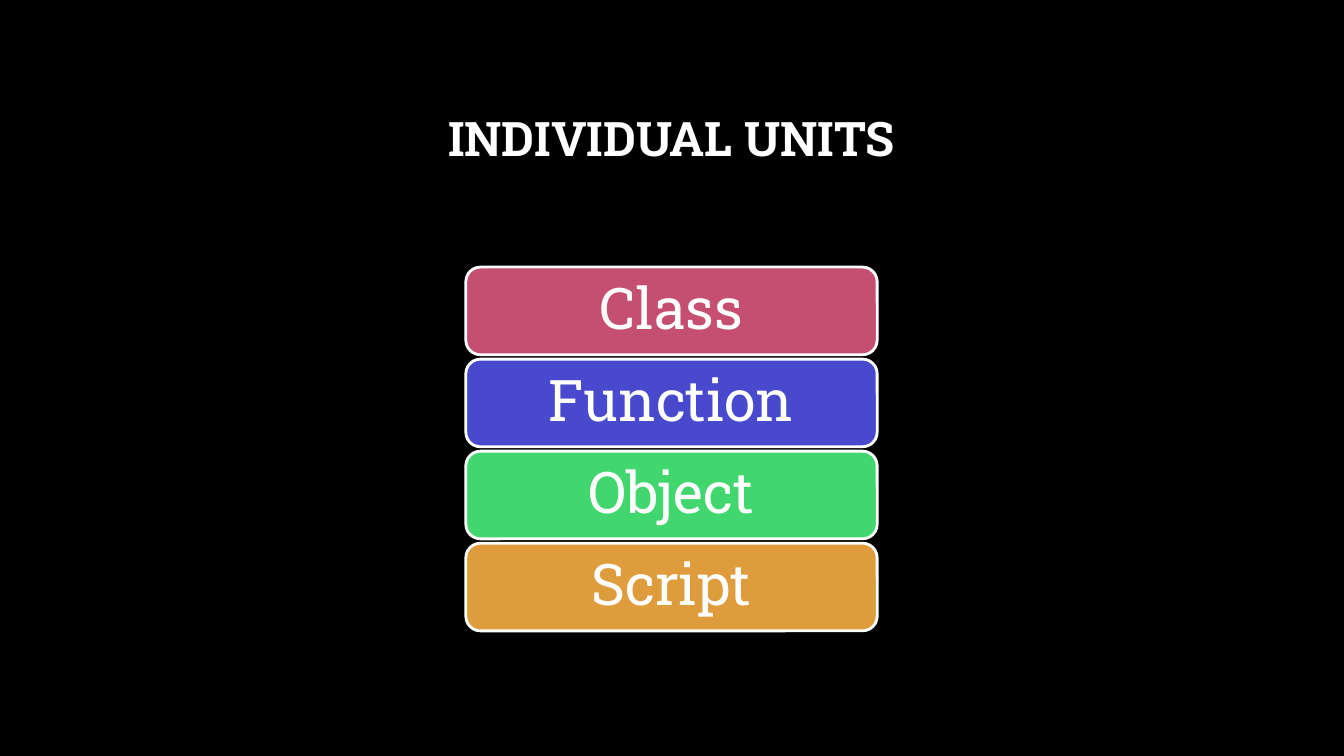
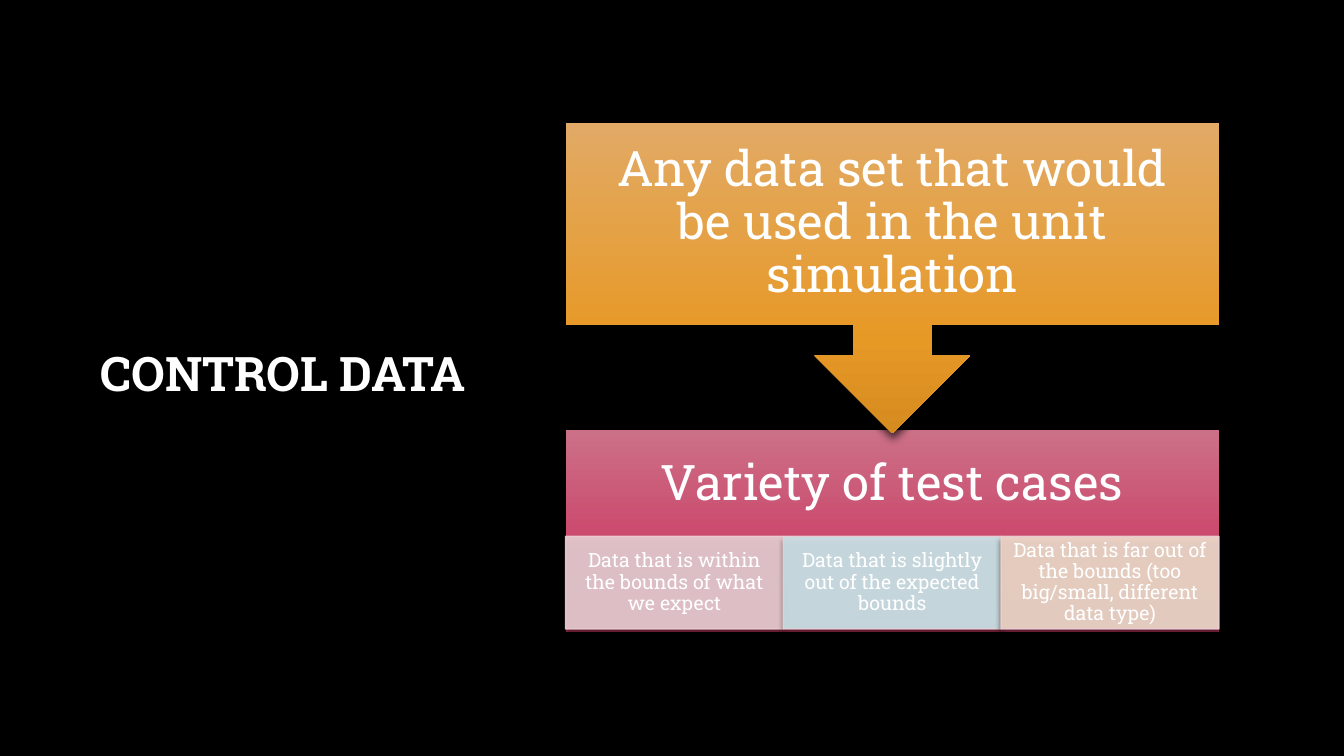
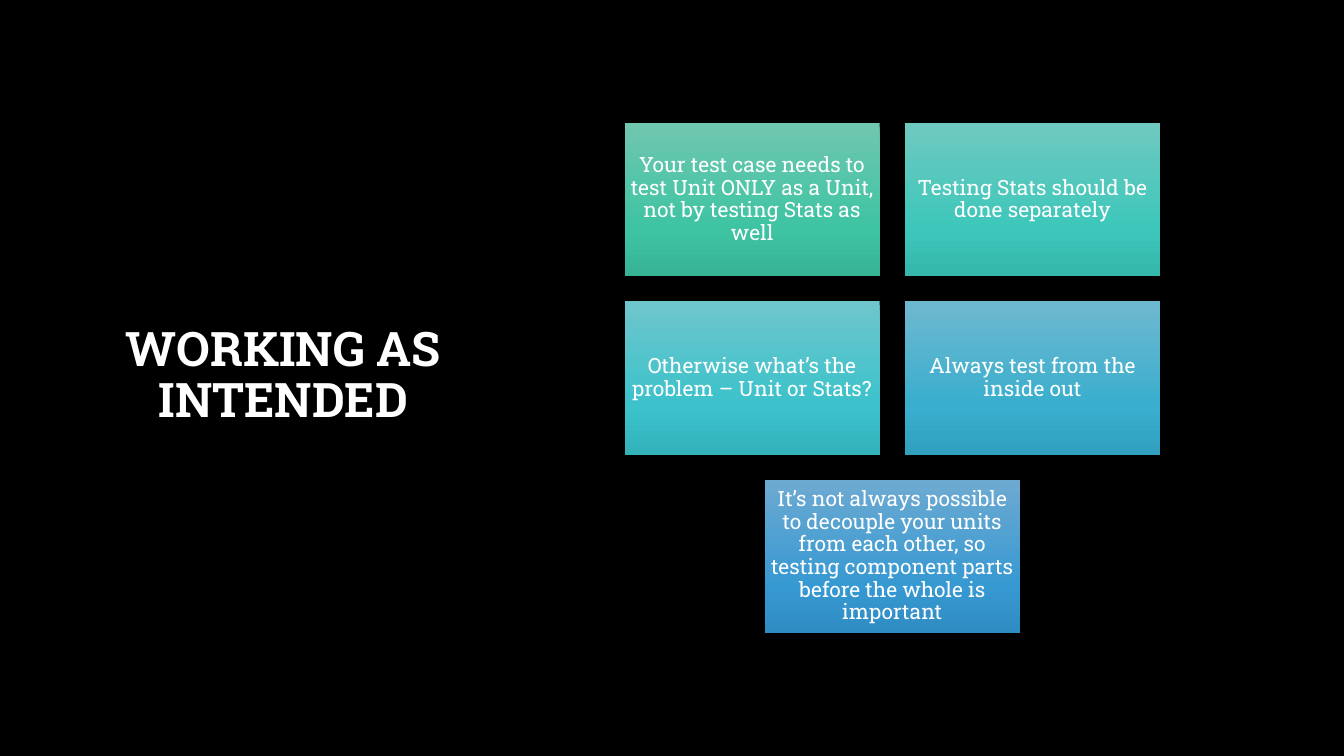
from copy import deepcopy

from pptx import Presentation
from pptx.dml.color import RGBColor
from pptx.enum.shapes import MSO_SHAPE as Preset
from pptx.enum.text import MSO_ANCHOR as Anchor, PP_ALIGN as Align
from pptx.oxml.ns import qn
from pptx.oxml.xmlchemy import OxmlElement
from pptx.util import Inches, Pt

FONT = "Roboto Slab"
COLOURS = {
    "black": "000000", "white": "FFFFFF",
    "rose": "C54F71", "indigo": "4949CD", "green": "42D66E", "amber": "DE9C3C",
    "pale rose": "EAD0D5", "pale blue": "CFEAEE", "pale amber": "F2DECE",
}
GRADIENTS = {
    "orange": ("E2AA66", "E79926", "D68B1F"),
    "pink": ("CC7087", "CA3D66", "BA355B"),
    "mint": ("70C6AF", "3EC4A3", "37B395"),
    "teal": ("6FC9C0", "3DC7BA", "35B7AB"),
    "cyan": ("6EC6CC", "3BC2CB", "33B2BA"),
    "sky": ("6EB8CF", "39AECE", "31A0BE"),
    "blue": ("6DAAD2", "3799D2", "2F8CC2"),
}
STOPS = (0, 0.69, 1)
DEEP_SHADOW = {"alpha": 76, "blur": 6, "distance": 3}
SOFT_SHADOW = {"alpha": 54, "blur": 4, "distance": 3}

TOP_TITLE = (1, 0.67, 11.32, 1.45)
SIDE_TITLE = (0.82, 0.67, 3.98, 6.13)

UNITS = [("Class", "rose"), ("Function", "indigo"), ("Object", "green"), ("Script", "amber")]
DATA_SET = "Any data set that would be used in the unit simulation"
VARIETY = "Variety of test cases"
TEST_CASES = [
    ("Data that is within the bounds of what we expect", "pale rose"),
    ("Data that is slightly out of the expected bounds", "pale blue"),
    ("Data that is far out of the bounds (too big/small, different data type)", "pale amber"),
]
ADVICE = [
    ("Your test case needs to test Unit ONLY as a Unit, not by testing Stats as well", "mint"),
    ("Testing Stats should be done separately", "teal"),
    ("Otherwise what’s the problem – Unit or Stats?", "cyan"),
    ("Always test from the inside out", "sky"),
    ("It’s not always possible to decouple your units from each other, so testing "
     "component parts before the whole is important", "blue"),
]


def rgb(name):
    return RGBColor.from_string(COLOURS[name])


def write(box, text, size, insets, bold=False):
    frame = box.text_frame
    sides = ("margin_left", "margin_top", "margin_right", "margin_bottom")
    layout = {"word_wrap": True, "vertical_anchor": Anchor.MIDDLE}
    layout.update(zip(sides, map(Inches, insets)))
    for name, value in layout.items():
        setattr(frame, name, value)
    para = frame.paragraphs[0]
    para.alignment, para.line_spacing = Align.CENTER, 0.9
    span = para.add_run()
    span.text = text
    for name, value in {"name": FONT, "size": Pt(size), "bold": bold}.items():
        setattr(span.font, name, value)
    span.font.color.rgb = rgb("white")


def add_page(deck, title, place):
    page = deck.slides.add_slide(deck.slide_layouts[6])
    page.background.fill.solid()
    page.background.fill.fore_color.rgb = rgb("black")
    box = page.shapes.add_textbox(*map(Inches, place))
    write(box, title, 34, (0.1, 0.05, 0.1, 0.05), bold=True)
    return page


def set_alpha(colour, percent):
    alpha = OxmlElement("a:alpha")
    alpha.set("val", str(percent * 1000))
    colour.append(alpha)


def paint_gradient(shape, colours):
    shape.fill.gradient()
    shape.fill.gradient_angle = 270
    stop_list = next(shape.element.spPr.iter(qn("a:gsLst")))
    stop_list.append(deepcopy(stop_list[-1]))
    for stop, position, colour in zip(shape.fill.gradient_stops, STOPS, colours):
        stop.position = position
        stop.color.rgb = RGBColor.from_string(colour)


def add_shadow(shape, alpha, blur, distance):
    shadow = OxmlElement("a:outerShdw")
    settings = {"blurRad": Pt(blur), "dist": Pt(distance), "dir": 5400000,
                "algn": "ctr", "rotWithShape": 0}
    for name, value in settings.items():
        shadow.set(name, str(value))
    colour = OxmlElement("a:srgbClr")
    colour.set("val", COLOURS["black"])
    set_alpha(colour, alpha)
    shadow.append(colour)
    shape.element.spPr.find(qn("a:effectLst")).append(shadow)


def add_block(page, preset, place, fill, line=None, width=1, opacity=None, shadow=None):
    shape = page.shapes.add_shape(preset, *map(Inches, place))
    shape.shadow.inherit = False
    if fill in GRADIENTS:
        paint_gradient(shape, GRADIENTS[fill])
    else:
        shape.fill.solid()
        shape.fill.fore_color.rgb = rgb(fill)
    if line:
        shape.line.color.rgb = rgb(line)
        shape.line.width = Pt(width)
    else:
        shape.line.fill.background()
    if opacity:
        for colour in list(shape.element.spPr.iter(qn("a:srgbClr"))):
            set_alpha(colour, opacity)
    if shadow:
        add_shadow(shape, **shadow)
    return shape


def build_units(deck):
    page = add_page(deck, "INDIVIDUAL UNITS", TOP_TITLE)
    left, top, width, height, pitch = 4.62, 2.65, 4.08, 0.87, 0.913
    for row, (name, fill) in enumerate(UNITS):
        place = (left, top + row * pitch, width, height)
        block = add_block(page, Preset.ROUNDED_RECTANGLE, place, fill, "white", 2)
        write(block, name, 41, (0.17, 0.09, 0.17, 0.09))


def build_control_data(deck):
    page = add_page(deck, "CONTROL DATA", SIDE_TITLE)
    left, width, pad = 5.61, 6.48, 0.27
    variety_top, variety_height, heading_height = 4.27, 2, 1.08
    variety = add_block(page, Preset.RECTANGLE, (left, variety_top, width, variety_height),
                        "pink", shadow=DEEP_SHADOW)
    write(variety, VARIETY, 35, (pad, pad, pad, variety_height - heading_height + pad))
    case_width = width / len(TEST_CASES)
    for column, (text, fill) in enumerate(TEST_CASES):
        place = (left + column * case_width, 5.32, case_width, 0.92)
        case = add_block(page, Preset.RECTANGLE, place, fill, "pale rose",
                         opacity=90, shadow=SOFT_SHADOW)
        write(case, text, 14, (0.11, 0.02, 0.11, 0.02))
    callout = add_block(page, Preset.DOWN_ARROW_CALLOUT, (left, 1.22, width, 3.08),
                        "orange", shadow=DEEP_SHADOW)
    write(callout, DATA_SET, 35, (pad,) * 4)


def build_working(deck):
    page = add_page(deck, "WORKING AS INTENDED", SIDE_TITLE)
    centre, top, width, height, gap, columns = 8.85, 1.22, 2.53, 1.52, 0.25, 2
    for index, (text, fill) in enumerate(ADVICE):
        row, column = divmod(index, columns)
        in_row = min(columns, len(ADVICE) - row * columns)
        left = centre - (in_row * (width + gap) - gap) / 2 + column * (width + gap)
        place = (left, top + row * (height + gap), width, height)
        block = add_block(page, Preset.RECTANGLE, place, fill, shadow=DEEP_SHADOW)
        write(block, text, 15, (0.06,) * 4)


def main():
    deck = Presentation()
    deck.slide_width, deck.slide_height = Inches(13.33), Inches(7.5)
    for build in (build_units, build_control_data, build_working):
        build(deck)
    deck.save("out.pptx")


if __name__ == "__main__":
    main()
